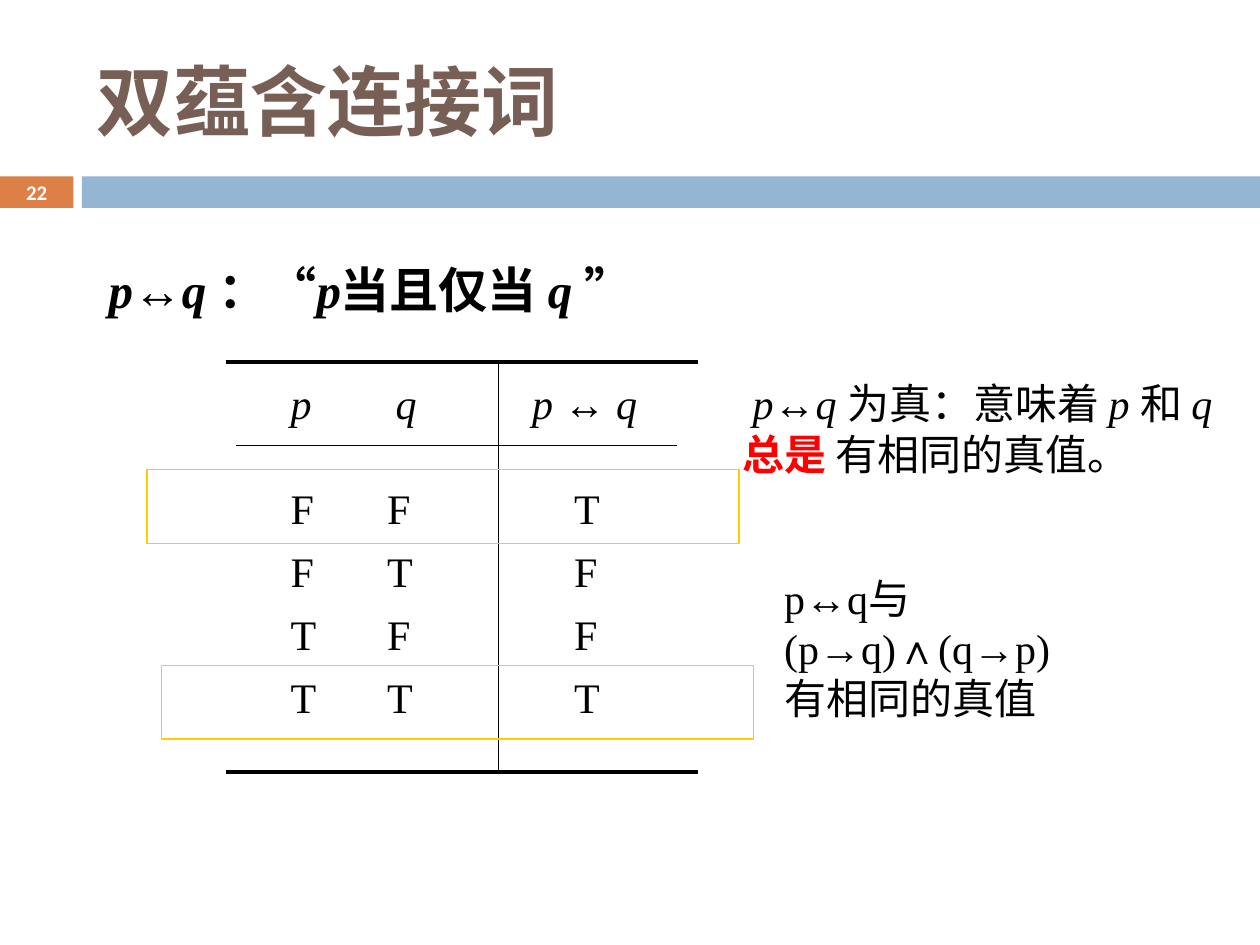
from dataclasses import dataclass
from typing import NamedTuple
from lxml.etree import SubElement
from pptx import Presentation
from pptx.dml.color import RGBColor as RGB
from pptx.enum.shapes import MSO_CONNECTOR as Link, MSO_SHAPE as Form
from pptx.enum.text import MSO_ANCHOR as Anchor, PP_ALIGN as Align
from pptx.oxml.ns import qn
from pptx.util import Emu, Inches, Pt


@dataclass(frozen=True)
class Theme:
    black: str = "000000"
    white: str = "FFFFFF"
    brown: str = "775F55"
    orange: str = "DD8047"
    blue: str = "94B6D2"
    red: str = "FF0000"
    gold: str = "FFCC00"
    sans: str = "Calibri"
    serif: str = "Times New Roman"
    title: float = 44
    lead: float = 28
    body: float = 24
    page: float = 11.9
    thick: float = 2.25
    thin: float = 0.75


class Box(NamedTuple):
    left: float
    top: float
    width: float
    height: float


class Run(NamedTuple):
    text: str
    slant: bool = False
    bold: bool = False
    color: str = ""


class Rule(NamedTuple):
    left: float
    top: float
    right: float
    base: float
    width: float


@dataclass(frozen=True)
class Label:
    box: Box
    lines: list[list[Run]]
    size: float
    font: str
    color: str
    bold: bool = False
    before: int = 0
    tab: float = 0
    anchor: Anchor = Anchor.TOP
    align: Align = Align.LEFT
    wrap: bool = True


LOOK = Theme()
COLS = 240
deck = Presentation()
deck.slide_width, deck.slide_height = Inches(10), Inches(7.5)
CELL = deck.slide_width / COLS
slide = deck.slides.add_slide(deck.slide_layouts[6])


def span(*cells: float) -> list[Emu]:
    return [Emu(round(cell * CELL)) for cell in cells]


def panel(box: Box, fill: str = "", edge: str = "") -> None:
    shape = slide.shapes.add_shape(Form.RECTANGLE, *span(*box))
    shape.shadow.inherit = False
    if fill:
        shape.fill.solid()
        shape.fill.fore_color.rgb = RGB.from_string(fill)
    else:
        shape.fill.background()
    if edge:
        shape.line.color.rgb = RGB.from_string(edge)
        shape.line.width = Pt(LOOK.thin)
    else:
        shape.line.fill.background()


def rule(mark: Rule) -> None:
    line = slide.shapes.add_connector(Link.STRAIGHT, *span(*mark[:4]))
    line.line.color.rgb = RGB.from_string(LOOK.black)
    line.line.width = Pt(mark.width)
    SubElement(line._element.spPr, qn("a:effectLst"))


def write(label: Label) -> None:
    frame = slide.shapes.add_textbox(*span(*label.box)).text_frame
    frame.word_wrap = label.wrap
    frame.vertical_anchor = label.anchor
    for row, runs in enumerate(label.lines):
        para = frame.add_paragraph() if row else frame.paragraphs[0]
        para.alignment = label.align
        props = para._p.get_or_add_pPr()
        if label.before:
            gap = SubElement(props, qn("a:spcBef"))
            SubElement(gap, qn("a:spcPct"), val=str(label.before * 1000))
        if label.tab:
            stops = SubElement(props, qn("a:tabLst"))
            SubElement(stops, qn("a:tab"), pos=str(span(label.tab)[0]), algn="l")
        for part in runs:
            if part.text == "\n":
                para.add_line_break()
                continue
            run = para.add_run()
            run.text = part.text
            style = {"name": label.font, "size": Pt(label.size),
                     "bold": label.bold or part.bold, "italic": part.slant}
            for key, value in style.items():
                setattr(run.font, key, value)
            run.font.color.rgb = RGB.from_string(part.color or label.color)


def plain(*texts: str) -> list[list[Run]]:
    return [[Run(text)] for text in texts]


def body(box: Box, lines: list[list[Run]], before: int = 0, tab: float = 0,
         wrap: bool = True) -> Label:
    return Label(box, lines, LOOK.body, LOOK.serif, LOOK.black,
                 before=before, tab=tab, wrap=wrap)


P, Q, IFF = Run("p", True), Run("q ", True), Run("↔")
HEAD, DATA, DEEP = 70.8, 90.8, 61.4
TRUTH = [("F", "F", "T"), ("F", "T", "F"), ("T", "F", "F"), ("T", "T", "T")]

LABELS = [
    Label(Box(16, 6, 214, 26), plain("双蕴含连接词"), LOOK.title, LOOK.sans,
          LOOK.brown, bold=True, anchor=Anchor.MIDDLE),
    Label(Box(0, 33.4, 14, 6.4), plain("22"), LOOK.page, LOOK.sans, LOOK.white,
          bold=True, anchor=Anchor.MIDDLE, align=Align.CENTER),
    Label(Box(16, 48.2, 204, 13.6),
          [[Run(" "), P, IFF, Q, Run("：“"), P, Run("当且仅当 "), Q, Run("”")]],
          LOOK.lead, LOOK.serif, LOOK.black, bold=True, before=50),
    body(Box(139, HEAD, 97, 21.8),
         [[Run(" "), P, IFF, Q, Run("为真：意味着 "), Run("p ", True), Run("和 "), Q,
           Run("总是", bold=True, color=LOOK.red), Run(" 有相同的真值。")]], 50),
    body(Box(53, HEAD, 40, 12), [[Run("p\tq", True)]], 50, 20),
    body(Box(99, HEAD, 30, 12), [[Run("p ", True), Run("↔ "), Run("q", True)]], 50),
    body(Box(53, DATA, 38, DEEP), plain(*(f"{p}\t{q}" for p, q, _ in TRUTH)), 30, 18.4),
    body(Box(107, DATA, 16, DEEP), plain(*(both for _, _, both in TRUTH)), 30),
    body(Box(147, 107.8, 81, 29),
         [[Run("p↔q与"), Run("\n"), Run("(p→q)∧(q→p)")], [Run("有相同的真值")]],
         wrap=False),
]
RULES = [
    Rule(43, 69, 133, 69, LOOK.thick),
    Rule(43, 147, 133, 147, LOOK.thick),
    Rule(45, 84.8, 129, 84.8, LOOK.thin),
    Rule(95, 69, 95, 147, LOOK.thin),
]

panel(Box(0, 33.6, 14, 6), fill=LOOK.orange)
panel(Box(15.6, 33.6, COLS - 15.6, 6), fill=LOOK.blue)
for mark in RULES:
    rule(mark)
for label in LABELS:
    write(label)
for left, top in ((30.8, 126.8), (28, 89.5)):
    panel(Box(left, top, 112.8, 14), edge=LOOK.gold)

deck.save("out.pptx")
